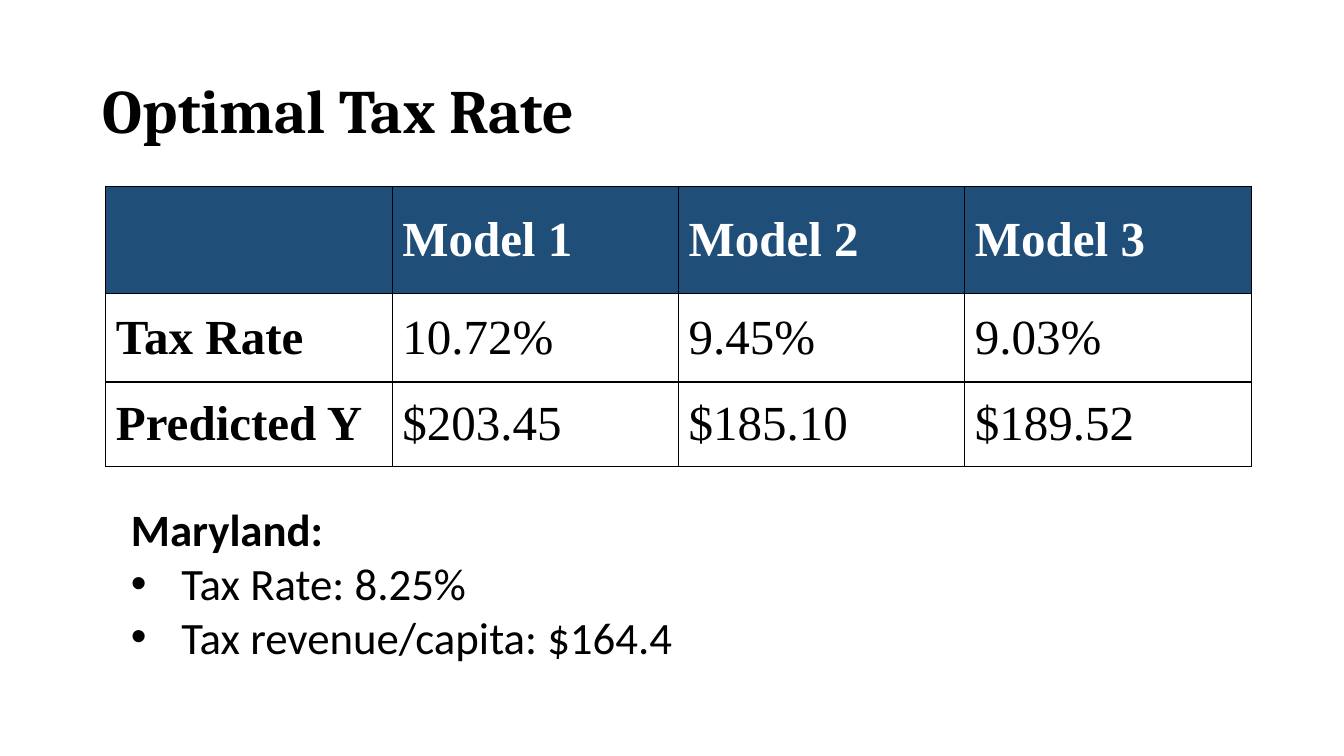
from lxml.etree import SubElement
from pptx import Presentation
from pptx.dml.color import RGBColor
from pptx.enum.text import MSO_ANCHOR as Anchor, MSO_AUTO_SIZE as Fit, PP_ALIGN as Align
from pptx.oxml import parse_xml
from pptx.oxml.ns import nsdecls, qn
from pptx.util import Inches, Pt

BLACK = RGBColor(0, 0, 0)
WHITE = RGBColor(255, 255, 255)
NAVY = RGBColor(0x1F, 0x4E, 0x79)
WIDE, HIGH = Inches(13.33), Inches(7.5)
COL = 2.84
ROWS = (1.06, 0.88, 0.84)
DATA = (
    ("", "Model 1", "Model 2", "Model 3"),
    ("Tax Rate", "10.72%", "9.45%", "9.03%"),
    ("Predicted Y", "$203.45", "$185.10", "$189.52"),
)
NOTES = ("Maryland:", "Tax Rate: 8.25%", "Tax revenue/capita: $164.4")


def style(par, face, size, bold, color=BLACK):
    for run in par.runs:
        font = run.font
        font.name, font.size, font.bold = face, Pt(size), bold
        font.color.rgb = color


def place(shape, left, top, width, height):
    shape.left, shape.top = Inches(left), Inches(top)
    shape.width, shape.height = Inches(width), Inches(height)


def add_title(slide, text):
    title = slide.shapes.title
    place(title, 0.92, 0.4, 11.5, 1.45)
    frame = title.text_frame
    frame.text = text
    frame.vertical_anchor = Anchor.MIDDLE
    par = frame.paragraphs[0]
    par.alignment, par.line_spacing = Align.LEFT, 0.9
    style(par, "Cambria", 44, True)


def add_edges(cell):
    props = cell._tc.get_or_add_tcPr()
    for side in "LRTB":
        props.append(parse_xml(
            f'<a:ln{side} {nsdecls("a")} w="{Pt(1)}"><a:solidFill>'
            f'<a:srgbClr val="{BLACK}"/></a:solidFill></a:ln{side}>'))


def add_grid(slide):
    count = len(DATA[0])
    grid = slide.shapes.add_table(
        len(DATA), count, Inches(1.05), Inches(1.85),
        Inches(COL * count), Inches(sum(ROWS))).table
    grid.first_row = grid.horz_banding = False
    for col in grid.columns:
        col.width = Inches(COL)
    for r, line in enumerate(DATA):
        grid.rows[r].height = Inches(ROWS[r])
        head = r == 0
        for c, text in enumerate(line):
            cell = grid.cell(r, c)
            cell.text = text
            cell.vertical_anchor = Anchor.MIDDLE
            add_edges(cell)
            if head:
                cell.fill.solid()
                cell.fill.fore_color.rgb = NAVY
            else:
                cell.fill.background()
            style(cell.text_frame.paragraphs[0], "Times New Roman", 35,
                  head or c == 0, WHITE if head else BLACK)


def add_bullet(par):
    props = par._p.get_or_add_pPr()
    props.set("marL", str(Inches(0.5)))
    props.set("indent", str(-Inches(0.5)))
    SubElement(props, qn("a:buFont")).set("typeface", "Arial")
    SubElement(props, qn("a:buChar")).set("char", "•")


def add_notes(slide):
    box = slide.shapes.add_textbox(0, 0, 0, 0)
    place(box, 1.2, 4.93, 5.85, 2.02)
    frame = box.text_frame
    frame.word_wrap = True
    frame.auto_size = Fit.SHAPE_TO_FIT_TEXT
    frame.text = "\n".join(NOTES)
    for i, par in enumerate(frame.paragraphs):
        if i:
            add_bullet(par)
        style(par, "Calibri", 32, i == 0)


def main():
    deck = Presentation()
    deck.slide_width, deck.slide_height = WIDE, HIGH
    slide = deck.slides.add_slide(deck.slide_layouts[5])
    add_title(slide, "Optimal Tax Rate")
    add_grid(slide)
    add_notes(slide)
    deck.save("out.pptx")


if __name__ == "__main__":
    main()
